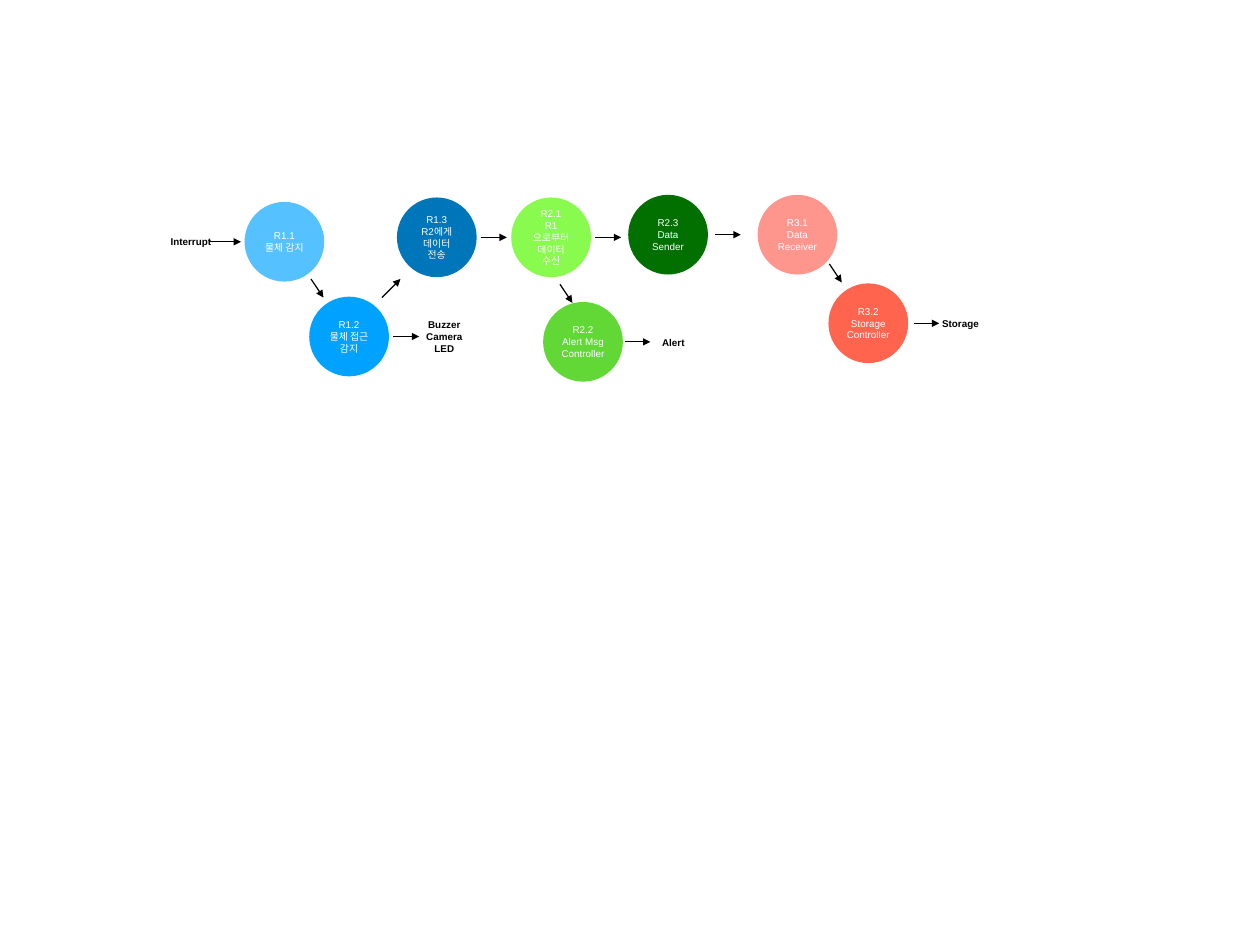
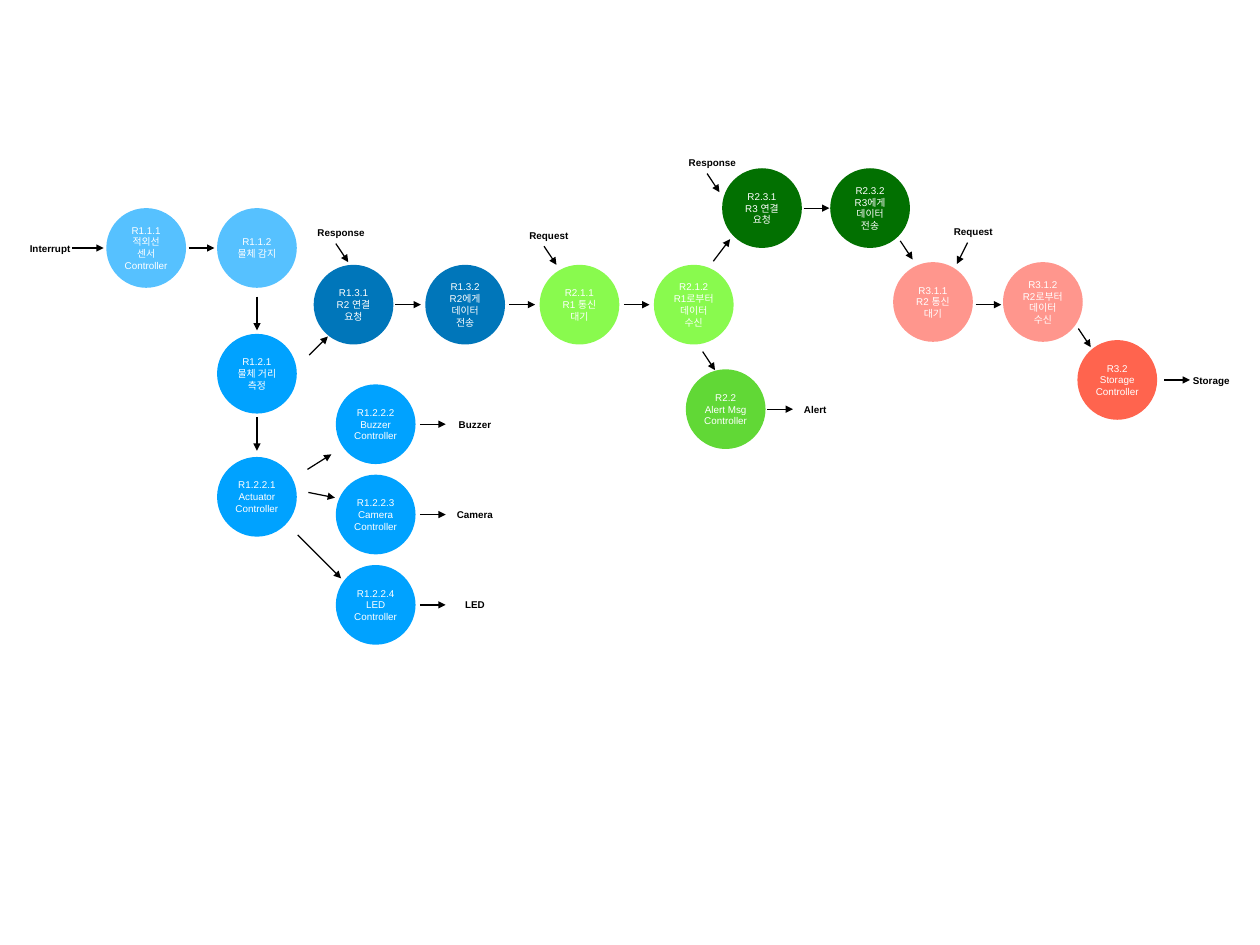
import pptx
import pptx.dml.color
import pptx.enum.shapes
import pptx.enum.text
import pptx.oxml.ns
import pptx.util
from dataclasses import dataclass, field
from lxml import etree
from pptx.util import Inches


@dataclass(frozen=True)
class Theme:
    font: str = "Arial"
    size: int = 8
    ink: str = "000000"
    node_text: str = "FFFFFF"
    line_width: int = 1
    inset: float = 0.06
    # Circle fill by the first two levels of the requirement number
    stages: dict = field(default_factory=lambda: {
        "R1.1": "56C1FF", "R1.2": "00A2FF", "R1.3": "0076BA",
        "R2.1": "89FA4E", "R2.2": "61D836", "R2.3": "027001",
        "R3.1": "FF968D", "R3.2": "FF644E",
    })


THEME = Theme()
DIAMETER = 0.9
LABEL_HEIGHT, LABEL_LINE = 0.25, 0.135

# Arrow directions shared by both slides (dx, dy)
ENTRY, RIGHT, DOWN = (0.36, 0), (0.29, 0), (0, 0.38)
DROP, RISE = (0.14, 0.21), (0.21, -0.21)

# Nodes: number, text, left, top. Labels: text, left, top, width.
# Arrows: direction -> starting points.
OVERVIEW = {
    "nodes": [
        ("R1.1", "물체 감지", 2.76, 2.28),
        ("R1.2", "물체 접근 감지", 3.49, 3.35),
        ("R1.3", "R2에게 데이터 전송", 4.48, 2.23),
        ("R2.1", "R1으로부터\n데이터 수신", 5.77, 2.23),
        ("R2.2", "Alert Msg Controller", 6.13, 3.41),
        ("R2.3", "Data Sender", 7.09, 2.2),
        ("R3.1", "Data Receiver", 8.55, 2.2),
        ("R3.2", "Storage Controller", 9.35, 3.2),
    ],
    "labels": [
        ("Interrupt", 1.86, 2.6, 0.59),
        ("Buzzer\nCamera\nLED", 4.73, 3.54, 0.57),
        ("Alert", 7.41, 3.74, 0.38),
        ("Storage", 10.57, 3.53, 0.54),
    ],
    "arrows": {
        ENTRY: [(2.36, 2.73)],
        RIGHT: [(4.44, 3.8), (5.43, 2.68), (6.72, 2.68), (7.05, 3.86),
                (8.07, 2.65), (10.31, 3.65)],
        DROP: [(3.51, 3.15), (6.32, 3.21), (9.36, 2.98)],
        RISE: [(4.31, 3.36)],
    },
}

DETAIL = {
    "nodes": [
        ("R1.1.1", "적외선 센서\nController", 1.2, 2.35),
        ("R1.1.2", "물체 감지", 2.45, 2.35),
        ("R1.2.1", "물체 거리 측정", 2.45, 3.77),
        ("R1.2.2.1", "Actuator\nController", 2.45, 5.16),
        ("R1.3.1", "R2 연결 요청", 3.54, 2.99),
        ("R1.3.2", "R2에게 데이터 전송", 4.8, 2.99),
        ("R2.1.1", "R1 통신 대기", 6.09, 2.99),
        ("R2.1.2", "R1로부터\n데이터 수신", 7.38, 2.99),
        ("R2.2", "Alert Msg Controller", 7.74, 4.17),
        ("R2.3.1", "R3 연결 요청", 8.15, 1.9),
        ("R2.3.2", "R3에게 데이터 전송", 9.37, 1.9),
        ("R3.1.1", "R2 통신 대기", 10.08, 2.96),
        ("R3.1.2", "R2로부터\n데이터 수신", 11.32, 2.96),
        ("R3.2", "Storage Controller", 12.16, 3.84),
    ],
    "labels": [
        ("Interrupt", 0.27, 2.68, 0.59),
        ("Response", 3.5, 2.5, 0.7),
        ("Request", 5.91, 2.53, 0.57),
        ("Response", 7.69, 1.71, 0.7),
        ("Request", 10.7, 2.49, 0.57),
        ("Alert", 9.01, 4.5, 0.38),
        ("Storage", 13.4, 4.17, 0.54),
    ],
    "arrows": {
        ENTRY: [(0.81, 2.8)],
        RIGHT: [(2.13, 2.8), (4.46, 3.44), (5.75, 3.44), (7.04, 3.44),
                (8.66, 4.62), (9.07, 2.35), (11.01, 3.44), (13.14, 4.29)],
        DOWN: [(2.9, 3.35), (2.9, 4.71)],
        DROP: [(3.79, 2.75), (6.14, 2.78), (7.93, 3.97), (7.98, 1.96),
               (10.16, 2.72), (12.17, 3.71)],
        RISE: [(3.49, 4.01)],
        (0.19, -0.25): [(8.05, 2.95)],
        (-0.12, 0.24): [(10.92, 2.74)],
        (0.27, -0.17): [(3.47, 5.3)],
        (0.3, 0.06): [(3.48, 5.56)],
        (0.49, 0.49): [(3.36, 6.04)],
    },
}

# Actuator column: device, label width
ACTUATORS = [("Buzzer", 0.49), ("Camera", 0.54), ("LED", 0.35)]
ACTUATOR_LEFT, ACTUATOR_TOP, ACTUATOR_PITCH = 3.79, 4.34, 1.02
ACTUATOR_ARROW_LEFT, ACTUATOR_LABEL_CENTER = 4.74, 5.36


def add_actuators(diagram):
    """Append the evenly spaced actuator rows to a diagram."""
    for row, (device, width) in enumerate(ACTUATORS):
        top = ACTUATOR_TOP + row * ACTUATOR_PITCH
        middle = top + DIAMETER / 2
        diagram["nodes"].append(
            (f"R1.2.2.{row + 2}", f"{device}\nController", ACTUATOR_LEFT, top))
        diagram["labels"].append(
            (device, ACTUATOR_LABEL_CENTER - width / 2,
             middle - LABEL_HEIGHT / 2, width))
        diagram["arrows"][RIGHT].append((ACTUATOR_ARROW_LEFT, middle))


def rgb(value):
    return pptx.dml.color.RGBColor.from_string(value)


def write_text(shape, text, color, bold=False, wrap=True):
    frame = shape.text_frame
    frame.text = text
    inset = Inches(THEME.inset)
    frame_format = {
        "margin_left": inset, "margin_top": inset,
        "margin_right": inset, "margin_bottom": inset,
        "word_wrap": wrap,
        "vertical_anchor": pptx.enum.text.MSO_ANCHOR.MIDDLE,
    }
    for name, value in frame_format.items():
        setattr(frame, name, value)
    font_format = {"name": THEME.font, "size": pptx.util.Pt(THEME.size), "bold": bold}
    for paragraph in frame.paragraphs:
        paragraph.alignment = pptx.enum.text.PP_ALIGN.CENTER
        for run in paragraph.runs:
            for name, value in font_format.items():
                setattr(run.font, name, value)
            run.font.color.rgb = rgb(color)


def add_node(slide, number, text, left, top):
    shape = slide.shapes.add_shape(
        pptx.enum.shapes.MSO_SHAPE.OVAL,
        Inches(left), Inches(top), Inches(DIAMETER), Inches(DIAMETER))
    shape.shadow.inherit = False
    shape.fill.solid()
    shape.fill.fore_color.rgb = rgb(THEME.stages[number[:4]])
    shape.line.fill.background()
    write_text(shape, f"{number}\n{text}", THEME.node_text)


def add_label(slide, text, left, top, width):
    height = LABEL_HEIGHT + LABEL_LINE * text.count("\n")
    shape = slide.shapes.add_textbox(
        Inches(left), Inches(top), Inches(width), Inches(height))
    write_text(shape, text, THEME.ink, bold=True, wrap=False)
    shape.text_frame.auto_size = pptx.enum.text.MSO_AUTO_SIZE.SHAPE_TO_FIT_TEXT


def add_arrow(slide, start, direction):
    (x, y), (dx, dy) = start, direction
    connector = slide.shapes.add_connector(
        pptx.enum.shapes.MSO_CONNECTOR.STRAIGHT,
        Inches(x), Inches(y), Inches(x + dx), Inches(y + dy))
    connector.line.color.rgb = rgb(THEME.ink)
    connector.line.width = pptx.util.Pt(THEME.line_width)
    # Arrowhead at the end, and no theme shadow
    qn = pptx.oxml.ns.qn
    properties = connector._element.spPr
    etree.SubElement(properties.find(qn("a:ln")), qn("a:tailEnd"), type="triangle")
    etree.SubElement(properties, qn("a:effectLst"))


def add_diagram(presentation, diagram):
    slide = presentation.slides.add_slide(
        presentation.slide_layouts.get_by_name("Blank"))
    for node in diagram["nodes"]:
        add_node(slide, *node)
    for label in diagram["labels"]:
        add_label(slide, *label)
    for direction, starts in diagram["arrows"].items():
        for start in starts:
            add_arrow(slide, start, direction)


def main():
    presentation = pptx.Presentation()
    presentation.slide_width = Inches(14.22)
    presentation.slide_height = Inches(10.67)
    add_actuators(DETAIL)
    for diagram in (OVERVIEW, DETAIL):
        add_diagram(presentation, diagram)
    presentation.save("out.pptx")


if __name__ == "__main__":
    main()
